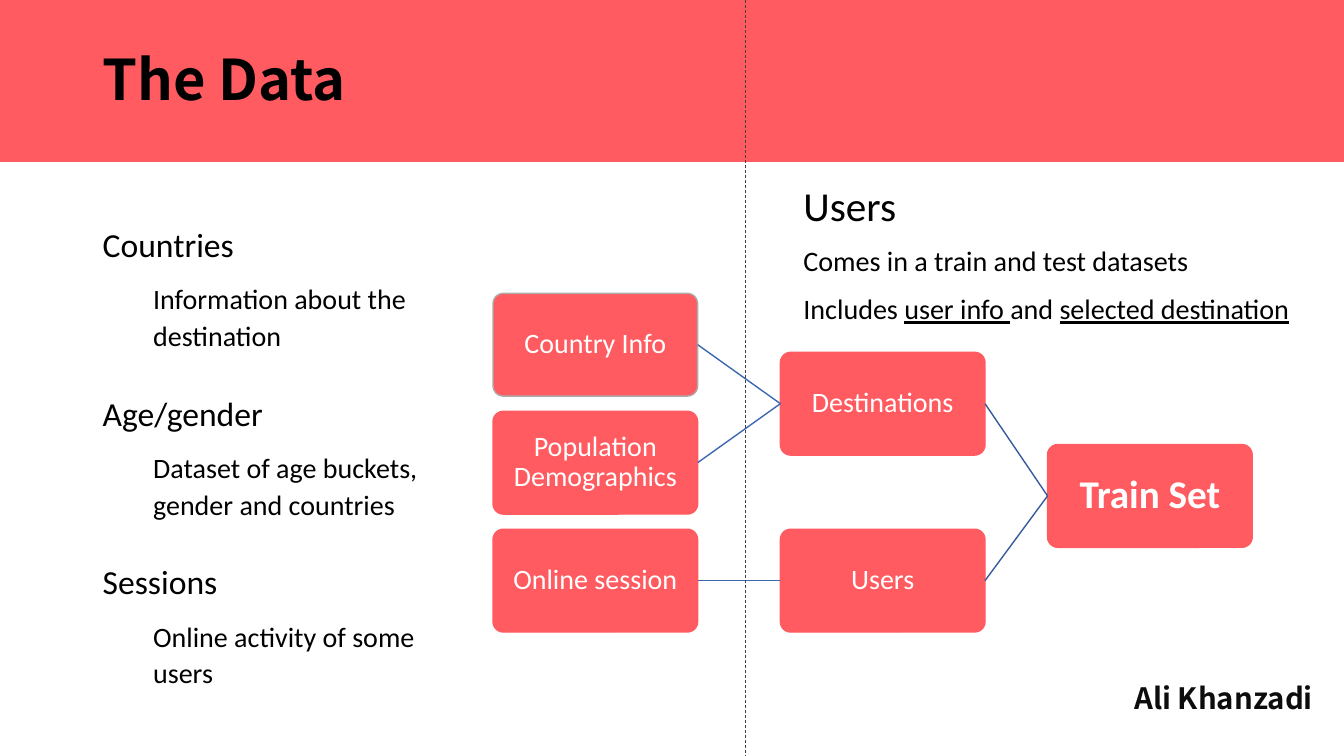
from lxml import etree
from pptx import Presentation
from pptx import util as u
from pptx.dml.color import RGBColor
from pptx.enum import dml, shapes, text
from pptx.oxml import ns

COLORS = {
    "coral": "FF5B60", "black": "000000", "white": "FFFFFF", "name": "0D0D0D",
    "grey": "AFABAB", "divider": "404040", "link": "3E67B2", "dark link": "365B9D",
}
BODY, HEADING = "Calibri", "Noto Sans CJK TC"
NODE_SIZE = (2.03, 1.02)
COLUMN_1, COLUMN_2, COLUMN_3 = 4.89, 7.74, 10.39
ROW_TOP, ROW_STEP = 2.91, 1.17


class SlideBuilder:
    def __init__(self, page):
        self.page = page

    def color(self, name):
        return RGBColor.from_string(COLORS[name])

    def span(self, para, words, size, color="black", font=BODY, bold=False, underline=False):
        """Add one styled run to a paragraph."""
        span = para.add_run()
        span.text = words
        style = span.font
        style.name, style.size = font, u.Pt(size)
        style.bold, style.underline = bold, underline
        style.color.rgb = self.color(color)

    def paragraph(self, frame, spans, size, before=0, spacing=1.0, indent=0,
                  align=text.PP_ALIGN.LEFT, **style):
        """Add a paragraph of (words, underline) spans, reusing an empty first one."""
        para = frame.paragraphs[0]
        if para.runs:
            para = frame.add_paragraph()
        para.alignment = align
        para.space_before = u.Pt(before)
        para.line_spacing = spacing
        if indent:
            para._p.get_or_add_pPr().set("marL", str(u.Inches(indent)))
        for words, underline in spans:
            self.span(para, words, size, underline=underline, **style)

    def text_box(self, left, top, width, height, anchor=text.MSO_ANCHOR.TOP):
        box = self.page.shapes.add_textbox(*map(u.Inches, (left, top, width, height)))
        frame = box.text_frame
        frame.word_wrap = True
        frame.vertical_anchor = anchor
        return frame

    def block(self, kind, left, top, width, height, line="coral"):
        """Add a coral preset shape."""
        block = self.page.shapes.add_shape(kind, *map(u.Inches, (left, top, width, height)))
        block.shadow.inherit = False
        block.fill.solid()
        block.fill.fore_color.rgb = self.color("coral")
        block.line.color.rgb = self.color(line)
        block.line.width = u.Pt(1)
        return block

    def node(self, label, left, top, size=20, bold=False, line="coral"):
        node = self.block(shapes.MSO_SHAPE.ROUNDED_RECTANGLE, left, top, *NODE_SIZE, line=line)
        node.adjustments[0] = 0.1
        frame = node.text_frame
        frame.word_wrap = True
        frame.vertical_anchor = text.MSO_ANCHOR.MIDDLE
        frame.margin_left = frame.margin_right = u.Inches(0.05)
        frame.margin_top = frame.margin_bottom = u.Inches(0.05)
        self.paragraph(frame, [(label, False)], size, spacing=0.9,
                       align=text.PP_ALIGN.CENTER, color="white", bold=bold)
        return node

    def line(self, start, end, color, width):
        line = self.page.shapes.add_connector(
            shapes.MSO_CONNECTOR.STRAIGHT, *map(u.Inches, start + end))
        line.line.color.rgb = self.color(color)
        line.line.width = u.Pt(width)
        etree.SubElement(line._element.spPr, ns.qn("a:effectLst"))
        return line

    def link(self, source, target, color):
        """Join the right side of one node to the left side of another."""
        link = self.line((0, 0), (0, 0), color, 1)
        link.begin_connect(source, 3)
        link.end_connect(target, 1)


def add_header(builder):
    builder.block(shapes.MSO_SHAPE.RECTANGLE, 0, -0.05, 13.33, 1.65)
    title = builder.text_box(0.92, 0.09, 11.5, 1.45, text.MSO_ANCHOR.MIDDLE)
    builder.paragraph(title, [("The Data", False)], 40, spacing=0.9, font=HEADING, bold=True)


def add_users(builder):
    users = builder.text_box(7.87, 1.74, 5.25, 1.67)
    builder.paragraph(users, [("Users", False)], 29.4, before=10)
    for spans in (
        [("Comes in a train and test datasets", False)],
        [("Includes ", False), ("user info ", True), ("and ", False),
         ("selected destination", True)],
    ):
        builder.paragraph(users, spans, 20.1, before=10)


def add_flow(builder):
    rows = [ROW_TOP + ROW_STEP * i for i in range(3)]
    country = builder.node("Country Info", COLUMN_1, rows[0], line="grey")
    population = builder.node("Population Demographics", COLUMN_1, rows[1])
    session = builder.node("Online session", COLUMN_1, rows[2])
    destinations = builder.node("Destinations", COLUMN_2, (rows[0] + rows[1]) / 2)
    users = builder.node("Users", COLUMN_2, rows[2])
    train = builder.node("Train Set", COLUMN_3, 4.41, size=28, bold=True)
    for source, target in ((country, destinations), (population, destinations), (session, users)):
        builder.link(source, target, "link")
    for source in (destinations, users):
        builder.link(source, train, "dark link")


def add_topics(builder):
    topics = builder.text_box(0.92, 2.17, 3.48, 4.91)
    for i, (topic, detail) in enumerate((
        ("Countries", "Information about the destination"),
        ("Age/gender", "Dataset of age buckets, gender and countries"),
        ("Sessions", "Online activity of some users"),
    )):
        builder.paragraph(topics, [(topic, False)], 24, before=29 if i else 0)
        builder.paragraph(topics, [(detail, False)], 20, before=10, spacing=1.1, indent=0.5)


def main():
    deck = Presentation()
    deck.slide_width, deck.slide_height = u.Inches(13.33), u.Inches(7.5)
    builder = SlideBuilder(deck.slides.add_slide(deck.slide_layouts[6]))
    add_header(builder)
    add_users(builder)
    add_flow(builder)
    divider = builder.line((7.39, 0), (7.39, 7.5), "divider", 0.5)
    divider.line.dash_style = dml.MSO_LINE.DASH
    add_topics(builder)
    author = builder.text_box(10.54, 6.7, 3.19, 0.45, text.MSO_ANCHOR.BOTTOM)
    builder.paragraph(author, [("Ali Khanzadi", False)], 21, spacing=0.9,
                      align=text.PP_ALIGN.CENTER, color="name", font=HEADING, bold=True)
    deck.save("out.pptx")


if __name__ == "__main__":
    main()
